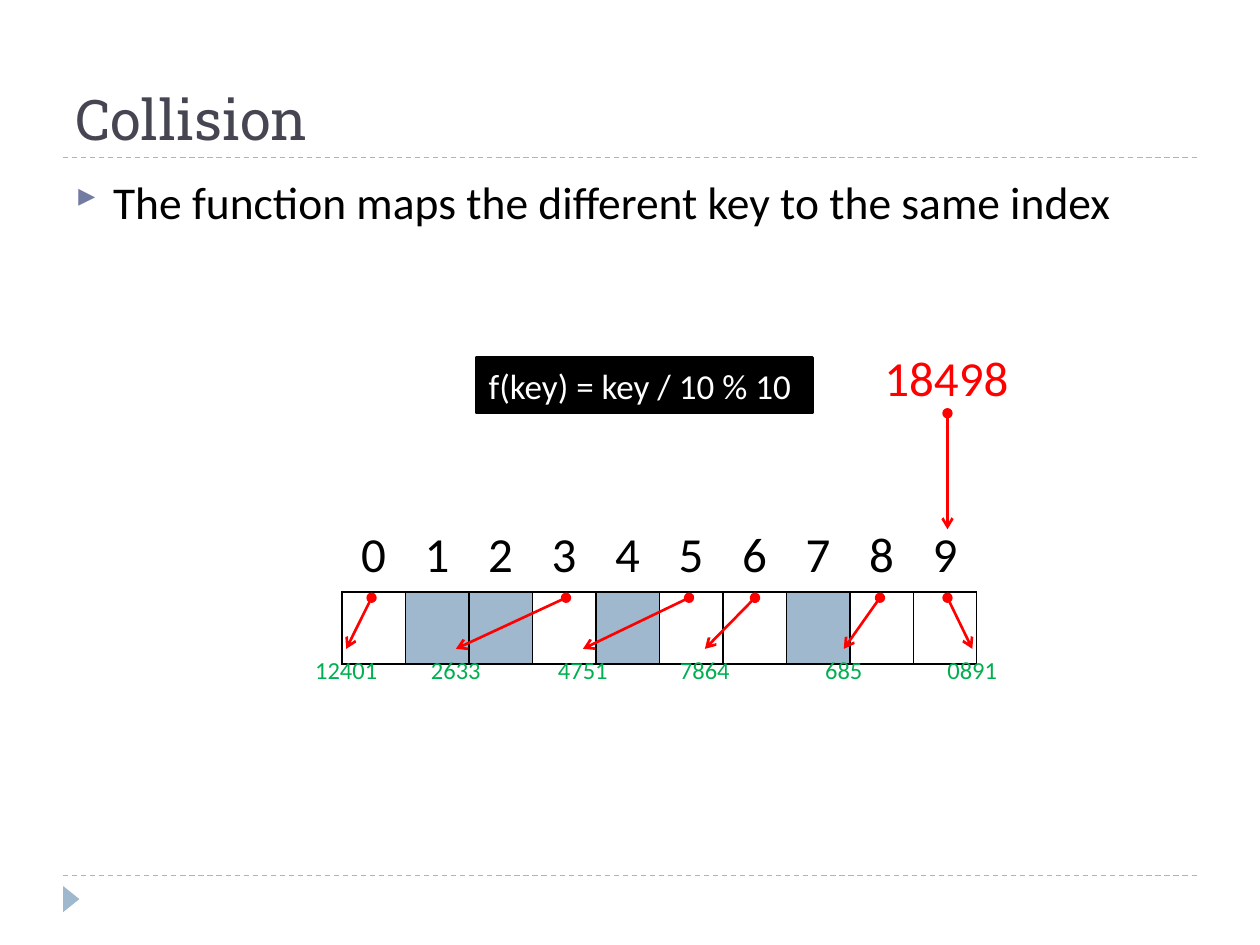
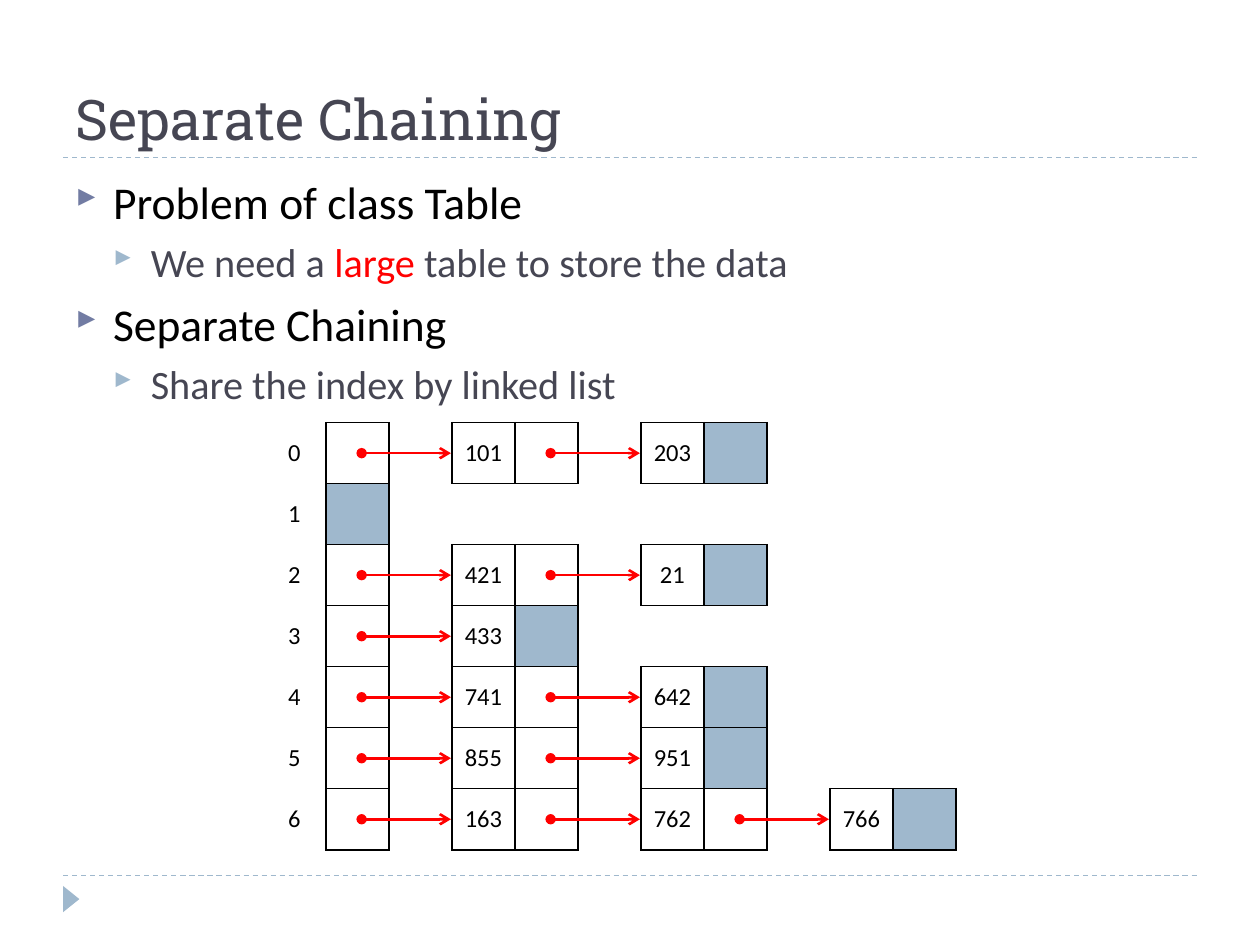
"""Build two slides on hash collisions and separate chaining."""
from lxml.etree import SubElement
from pptx import Presentation
from pptx.dml.color import RGBColor
from pptx.enum.dml import MSO_LINE
from pptx.enum.shapes import MSO_CONNECTOR, MSO_SHAPE
from pptx.enum.text import MSO_ANCHOR, MSO_AUTO_SIZE, PP_ALIGN
from pptx.oxml.ns import qn
from pptx.util import Cm, Pt

BLACK = RGBColor(0x00, 0x00, 0x00)
WHITE = RGBColor(0xFF, 0xFF, 0xFF)
RED = RGBColor(0xFF, 0x00, 0x00)
GREEN = RGBColor(0x00, 0xB0, 0x50)
SLATE = RGBColor(0x46, 0x46, 0x53)
INDIGO = RGBColor(0x72, 0x7C, 0xA3)
PALE_BLUE = RGBColor(0x9F, 0xB8, 0xCD)

TITLE_FONT = "Roboto Slab"
BODY_FONT = "Calibri"
BULLET_FONT = "Wingdings 3"
BULLET_LEVELS = [(26, BLACK, INDIGO, 6), (23, SLATE, PALE_BLUE, 5)]
SIDES = {"a:lnL": (0, -1), "a:lnR": (0, 1), "a:lnT": (-1, 0), "a:lnB": (1, 0)}


def set_font(paragraph, size, color, name=BODY_FONT):
    """Set the font of a whole paragraph."""
    paragraph.font.name = name
    paragraph.font.size = Pt(size)
    paragraph.font.color.rgb = color


def add_line(slide, start, end, color, width):
    """Add a straight line between two points in centimetres, without shadow."""
    line = slide.shapes.add_connector(
        MSO_CONNECTOR.STRAIGHT, *(Cm(value) for value in (*start, *end)))
    line.line.color.rgb = color
    line.line.width = Pt(width)
    SubElement(line.element.spPr, qn("a:effectLst"))
    return line


def add_arrow(slide, start, end):
    """Add a red pointer with a dot at its start and an arrowhead at its end."""
    arrow = add_line(slide, start, end, RED, 1.5)
    outline = arrow.element.spPr.find(qn("a:ln"))
    SubElement(outline, qn("a:headEnd"), type="oval")
    SubElement(outline, qn("a:tailEnd"), type="arrow")


def add_shape(slide, kind, box, fill):
    """Add a plain filled shape."""
    shape = slide.shapes.add_shape(kind, *(Cm(value) for value in box))
    shape.shadow.inherit = False
    shape.fill.solid()
    shape.fill.fore_color.rgb = fill
    shape.line.fill.background()
    return shape


def add_titled_slide(presentation, title):
    """Add a slide with its title, dashed rules and corner triangle."""
    slide = presentation.slides.add_slide(presentation.slide_layouts[5])
    for top in (17.65, 3.18):
        rule = add_line(slide, (1.27, top), (24.13, top), PALE_BLUE, 0.75)
        rule.line.dash_style = MSO_LINE.DASH
    triangle = add_shape(slide, MSO_SHAPE.ISOSCELES_TRIANGLE,
                         (1.17, 17.96, 0.53, 0.33), PALE_BLUE)
    triangle.rotation = 90
    placeholder = slide.shapes.title
    placeholder.left, placeholder.top = Cm(1.27), Cm(0.43)
    placeholder.width, placeholder.height = Cm(22.86), Cm(2.75)
    placeholder.text_frame.text = title
    placeholder.text_frame.vertical_anchor = MSO_ANCHOR.BOTTOM
    paragraph = placeholder.text_frame.paragraphs[0]
    paragraph.alignment = PP_ALIGN.LEFT
    set_font(paragraph, 32, SLATE, TITLE_FONT)
    return slide


def format_bullet(paragraph, level):
    """Give a paragraph the indent, bullet and font of its level."""
    size, color, bullet_color, space = BULLET_LEVELS[level]
    paragraph.level = level
    paragraph.space_before = Pt(space)
    properties = paragraph._p.get_or_add_pPr()
    properties.set("marL", str(Cm(0.76 * (level + 1))))
    properties.set("indent", str(-Cm(0.76)))
    tint = SubElement(properties, qn("a:buClr"))
    SubElement(tint, qn("a:srgbClr"), val=str(bullet_color))
    SubElement(properties, qn("a:buSzPct"), val="76000")
    SubElement(properties, qn("a:buFont"), typeface=BULLET_FONT, charset="2")
    SubElement(properties, qn("a:buChar"), char="}")
    set_font(paragraph, size, color)


def add_bullets(slide, items):
    """Add the body text from pairs of level and (text, color) runs."""
    text_box = slide.shapes.add_textbox(Cm(1.27), Cm(3.38), Cm(22.86), Cm(13.72))
    frame = text_box.text_frame
    frame.word_wrap = True
    for number, (level, runs) in enumerate(items):
        paragraph = frame.add_paragraph() if number else frame.paragraphs[0]
        format_bullet(paragraph, level)
        for text, color in runs:
            run = paragraph.add_run()
            run.text = text
            if color:
                run.font.color.rgb = color


def add_label(slide, text, center, top, width, height, size, color):
    """Add a one-line text centred on a horizontal position."""
    text_box = slide.shapes.add_textbox(
        Cm(center - width / 2), Cm(top), Cm(width), Cm(height))
    frame = text_box.text_frame
    frame.word_wrap = False
    frame.auto_size = MSO_AUTO_SIZE.SHAPE_TO_FIT_TEXT
    frame.text = text
    frame.paragraphs[0].alignment = PP_ALIGN.CENTER
    set_font(frame.paragraphs[0], size, color)


def set_borders(cell, position, boxed):
    """Line each side of a cell that touches a boxed cell."""
    row, column = position
    properties = cell._tc.get_or_add_tcPr()
    for side, (down, right) in SIDES.items():
        border = SubElement(properties, qn(side), w=str(Pt(1)))
        if {position, (row + down, column + right)} & boxed:
            fill = SubElement(border, qn("a:solidFill"))
            SubElement(fill, qn("a:srgbClr"), val=str(BLACK))
        else:
            SubElement(border, qn("a:noFill"))


def add_grid(slide, origin, cell_size, shape, texts, boxed, filled, size):
    """Add a table whose texts, boxes and fills are keyed by (row, column)."""
    (rows, columns), (width, height) = shape, cell_size
    table = slide.shapes.add_table(
        rows, columns, Cm(origin[0]), Cm(origin[1]),
        Cm(columns * width), Cm(rows * height)).table
    table.first_row = table.horz_banding = False
    for column in table.columns:
        column.width = Cm(width)
    for row in table.rows:
        row.height = Cm(height)
    for row in range(rows):
        for column in range(columns):
            position = (row, column)
            cell = table.cell(row, column)
            set_borders(cell, position, boxed)
            if position in filled:
                cell.fill.solid()
                cell.fill.fore_color.rgb = PALE_BLUE
            else:
                cell.fill.background()
            cell.vertical_anchor = MSO_ANCHOR.MIDDLE
            cell.text = texts.get(position, "")
            paragraph = cell.text_frame.paragraphs[0]
            paragraph.alignment = PP_ALIGN.CENTER
            set_font(paragraph, size, BLACK)


def add_formula(slide, text):
    """Add the hash function in a black box."""
    box = add_shape(slide, MSO_SHAPE.RECTANGLE, (9.6, 7.21, 6.78, 1.12), BLACK)
    box.line.color.rgb = BLACK
    box.line.width = Pt(1.5)
    frame = box.text_frame
    frame.word_wrap = True
    frame.vertical_anchor = MSO_ANCHOR.MIDDLE
    frame.text = text
    frame.paragraphs[0].alignment = PP_ALIGN.LEFT
    set_font(frame.paragraphs[0], 20, WHITE)


def build_collision(presentation):
    """Build the slide on a key that maps to an occupied index."""
    slide = add_titled_slide(presentation, "Collision")
    add_bullets(slide, [
        (0, [("The function maps the different key to the same index", None)])])
    add_grid(slide, (6.89, 10.47), (1.28, 1.46), (2, 10),
             texts={(0, index): str(index) for index in range(10)},
             boxed={(1, index) for index in range(10)},
             filled={(1, index) for index in (1, 2, 4, 7)}, size=28)
    entries = [("12401", 7.49, 6.98), ("2633", 11.41, 9.19),
               ("4751", 13.89, 11.75), ("7864", 15.22, 14.21),
               ("685", 17.74, 17.01), ("0891", 19.1, 19.6)]
    for key, start, end in entries:
        add_label(slide, key, end, 13.08, 0.25 * len(key) + 0.6, 0.86, 14, GREEN)
        add_arrow(slide, (start, 12.05), (end, 13.08))
    add_formula(slide, "f(key) = key / 10 % 10")
    add_label(slide, "18498", 19.08, 6.88, 3, 1.45, 28, RED)
    add_arrow(slide, (19.1, 8.33), (19.1, 10.67))


def build_chaining(presentation):
    """Build the slide on linked lists that share an index."""
    slide = add_titled_slide(presentation, "Separate Chaining")
    add_bullets(slide, [
        (0, [("Problem of class Table", None)]),
        (1, [("We need a ", None), ("large ", RED),
             ("table to store the data", None)]),
        (0, [("Separate Chaining", None)]),
        (1, [("Share the index by linked list", None)])])
    chains = [["101", "203"], [], ["421", "21"], ["433"],
              ["741", "642"], ["855", "951"], ["163", "762", "766"]]
    left, top, width, height = 5.3, 8.52, 1.27, 1.23
    texts, boxed, filled, arrows = {}, set(), set(), []
    for row, chain in enumerate(chains):
        for step, text in enumerate([str(row), *chain]):
            column = 3 * step
            texts[row, column] = text
            boxed.add((row, column + 1))
            if step:
                boxed.add((row, column))
            if step == len(chain):
                filled.add((row, column + 1))
            else:
                arrows.append((left + (column + 1) * width + 0.72,
                               top + (row + 0.5) * height))
    add_grid(slide, (left, top), (width, height), (len(chains), 11),
             texts, boxed, filled, size=14)
    for x, y in arrows:
        add_arrow(slide, (x, y), (x + 1.8, y))


def main():
    """Build and save the presentation."""
    presentation = Presentation()
    presentation.slide_width, presentation.slide_height = Cm(25.4), Cm(19.05)
    build_collision(presentation)
    build_chaining(presentation)
    presentation.save("out.pptx")


main()
